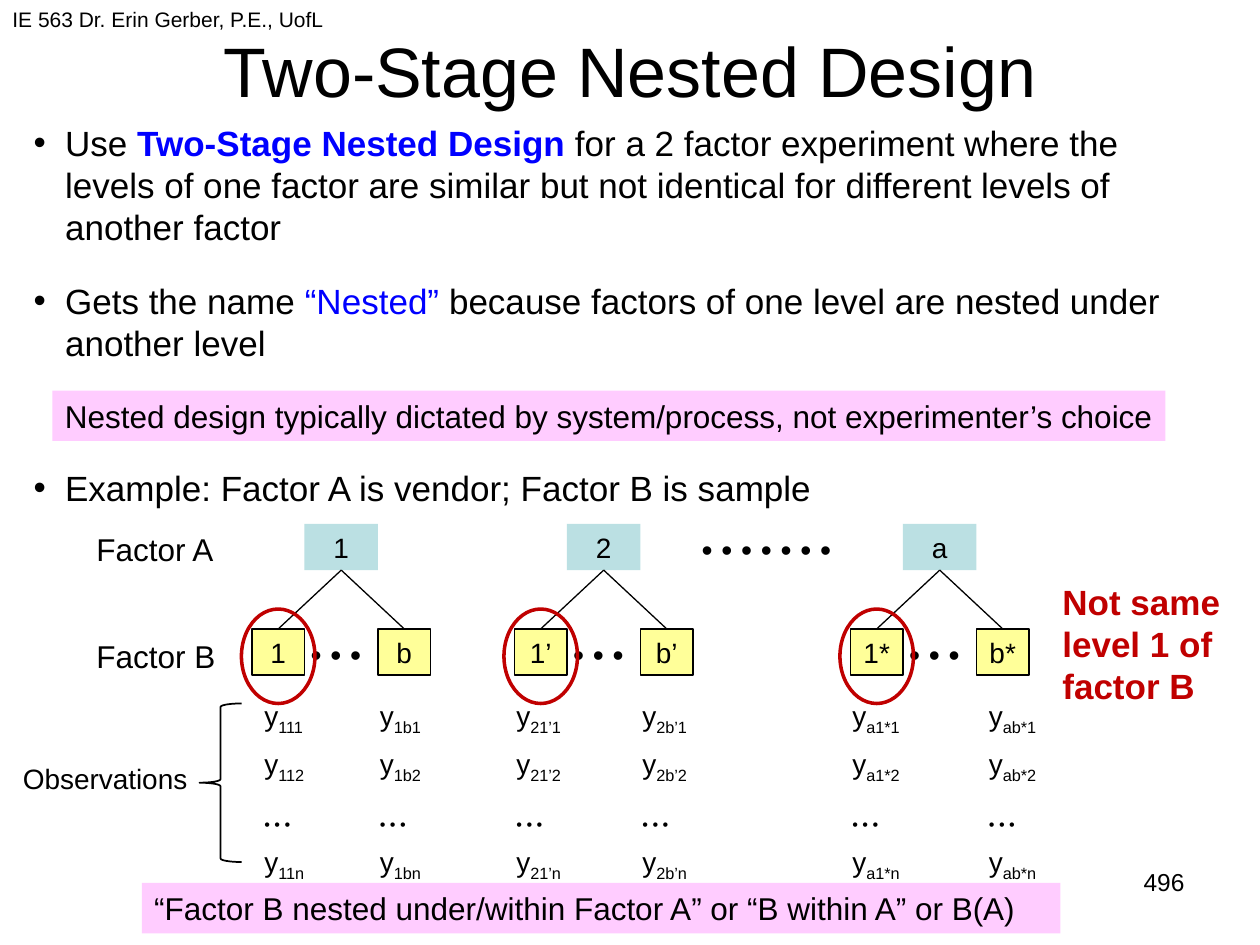
from dataclasses import dataclass
from typing import NamedTuple

from lxml import etree
from pptx import Presentation, util as u
from pptx.dml.color import RGBColor
from pptx.enum import shapes, text
from pptx.oxml import ns


@dataclass(frozen=True)
class Theme:
    font: str = "Arial"
    black: str = "000000"
    blue: str = "0000FF"
    red: str = "C00000"
    teal: str = "BBE0E3"
    yellow: str = "FFFF99"
    pink: str = "FFCCFF"
    title: int = 40
    body: int = 20
    label: int = 18
    node: int = 16
    page: int = 14
    header: int = 12


class Box(NamedTuple):
    """Place and size in grid columns and rows."""
    left: float
    top: float
    width: float
    height: float


class Piece(NamedTuple):
    """A stretch of text in one format."""
    words: str
    color: str = Theme.black
    bold: bool = False
    subscript: bool = False


class Tree(NamedTuple):
    """One level of factor A with its nested levels of factor B."""
    left: float
    parent: str
    children: tuple[str, str]
    readings: tuple[str, str]
    reading_columns: tuple[float, float]
    reading_width: float


THEME = Theme()
COLUMNS, ROWS = 120, 90
CELL = u.Inches(10) / COLUMNS

# Rows and sizes shared by the three trees
PARENT_TOP, CHILD_TOP, READING_TOP = 49.9, 59.9, 65.9
NODE_HEIGHT, PARENT_WIDTH, CHILD_WIDTH, CHILD_STEP = 4.4, 7, 5, 12
TREES = (
    Tree(24, "1", ("1", "b"), ("11", "1b"), (24, 35), 7),
    Tree(49, "2", ("1’", "b’"), ("21’", "2b’"), (48, 60), 8),
    Tree(81, "a", ("1*", "b*"), ("a1*", "ab*"), (80, 93), 8),
)
BODY = (
    (0, [Piece("Use "), Piece("Two-Stage Nested Design ", THEME.blue, True),
         Piece("for a 2 factor experiment where the levels of one factor are similar "
               "but not identical for different levels of another factor")]),
    (18, [Piece("Gets the name "), Piece("“Nested” ", THEME.blue),
          Piece("because factors of one level are nested under another level")]),
    (59, [Piece("Example: Factor A is vendor; Factor B is sample")]),
)


def grid(*cells: float) -> list[int]:
    return [round(cell * CELL) for cell in cells]


def place(shape, box: Box) -> None:
    for name, value in zip(Box._fields, grid(*box)):
        setattr(shape, name, value)


def write(paragraph, pieces: list[Piece], size: int, **formats) -> None:
    for name, value in formats.items():
        setattr(paragraph, name, value)
    for piece in pieces:
        run = paragraph.add_run()
        run.text = piece.words
        for name, value in {"name": THEME.font, "size": u.Pt(size), "bold": piece.bold}.items():
            setattr(run.font, name, value)
        run.font.color.rgb = RGBColor.from_string(piece.color)
        if piece.subscript:
            run._r.get_or_add_rPr().set("baseline", "-25000")


def set_frame(shape, wrap: bool = True, anchor=text.MSO_ANCHOR.TOP):
    frame = shape.text_frame
    for name, value in {"auto_size": text.MSO_AUTO_SIZE.NONE, "word_wrap": wrap,
                        "vertical_anchor": anchor}.items():
        setattr(frame, name, value)
    return frame


def add_text(slide, box: Box, words: str, size: int, align=text.PP_ALIGN.LEFT,
             color: str = THEME.black, bold: bool = False) -> None:
    frame = set_frame(slide.shapes.add_textbox(*grid(*box)))
    write(frame.paragraphs[0], [Piece(words, color, bold)], size, alignment=align)


def add_figure(slide, kind, box: Box, fill: str | None = None,
               line: str | None = None, weight: float = 0.75):
    shape = slide.shapes.add_shape(kind, *grid(*box))
    shape.shadow.inherit = False
    if fill:
        shape.fill.solid()
        shape.fill.fore_color.rgb = RGBColor.from_string(fill)
    else:
        shape.fill.background()
    if line:
        shape.line.color.rgb = RGBColor.from_string(line)
        shape.line.width = u.Pt(weight)
    else:
        shape.line.fill.background()
    return shape


def add_node(slide, box: Box, words: str, fill: str, line: str | None = None) -> None:
    shape = add_figure(slide, shapes.MSO_SHAPE.RECTANGLE, box, fill, line)
    frame = set_frame(shape, wrap=False)
    write(frame.paragraphs[0], [Piece(words)], THEME.node, alignment=text.PP_ALIGN.CENTER)


def add_banner(slide, box: Box, words: str) -> None:
    shape = add_figure(slide, shapes.MSO_SHAPE.RECTANGLE, box, THEME.pink)
    write(set_frame(shape).paragraphs[0], [Piece(words)], THEME.label,
          alignment=text.PP_ALIGN.LEFT)


def add_branch(slide, start: tuple[float, float], end: tuple[float, float]) -> None:
    branch = slide.shapes.add_connector(shapes.MSO_CONNECTOR.STRAIGHT, *grid(*start, *end))
    branch.line.color.rgb = RGBColor.from_string(THEME.black)
    branch.line.width = u.Pt(0.75)
    etree.SubElement(branch._element.spPr, ns.qn("a:effectLst"))


def add_readings(slide, box: Box, prefix: str) -> None:
    frame = set_frame(slide.shapes.add_textbox(*grid(*box)))
    for index, last in enumerate(("1", "2", None, "n")):
        paragraph = frame.add_paragraph() if index else frame.paragraphs[0]
        pieces = ([Piece("y"), Piece(prefix + last, subscript=True)] if last
                  else [Piece("• • •", subscript=True)])
        write(paragraph, pieces, THEME.node, space_before=u.Pt(6 if index else 0))


def add_tree(slide, tree: Tree) -> None:
    middle = tree.left + (CHILD_STEP + CHILD_WIDTH) / 2
    add_node(slide, Box(middle - PARENT_WIDTH / 2, PARENT_TOP, PARENT_WIDTH, NODE_HEIGHT),
             tree.parent, THEME.teal)
    for index, child in enumerate(tree.children):
        left = tree.left + index * CHILD_STEP
        add_node(slide, Box(left, CHILD_TOP, CHILD_WIDTH, NODE_HEIGHT),
                 child, THEME.yellow, THEME.black)
        add_branch(slide, (left + CHILD_WIDTH / 2, CHILD_TOP),
                   (middle, PARENT_TOP + NODE_HEIGHT))
        add_readings(slide, Box(tree.reading_columns[index], READING_TOP,
                                tree.reading_width, 16.1), tree.readings[index])
    add_text(slide, Box(tree.left + 2, CHILD_TOP, 12, 5), "• • •", THEME.label,
             text.PP_ALIGN.CENTER)
    add_figure(slide, shapes.MSO_SHAPE.OVAL, Box(tree.left - 1, 58, 7, 9),
               line=THEME.red, weight=2)


def main() -> None:
    presentation = Presentation()
    presentation.slide_width, presentation.slide_height = grid(COLUMNS, ROWS)
    slide = presentation.slides.add_slide(presentation.slide_layouts[1])

    # Title and list
    title, body = slide.placeholders
    place(title, Box(9, -3, 102, 19.3))
    frame = set_frame(title, anchor=text.MSO_ANCHOR.MIDDLE)
    write(frame.paragraphs[0], [Piece("Two-Stage Nested Design")], THEME.title,
          alignment=text.PP_ALIGN.CENTER)
    place(body, Box(2, 11, 114, 54.7))
    frame = set_frame(body)
    for index, (space, pieces) in enumerate(BODY):
        paragraph = frame.add_paragraph() if index else frame.paragraphs[0]
        properties = paragraph._p.get_or_add_pPr()
        properties.set("marL", str(u.Inches(0.25)))
        properties.set("indent", str(-u.Inches(0.25)))
        etree.SubElement(properties, ns.qn("a:buChar"), char="•")
        write(paragraph, pieces, THEME.body, space_before=u.Pt(space))

    # Nested tree diagram
    for tree in TREES:
        add_tree(slide, tree)
    add_text(slide, Box(64.5, PARENT_TOP, 17, 5), "• • • • • • •", THEME.label,
             text.PP_ALIGN.CENTER)
    add_figure(slide, shapes.MSO_SHAPE.LEFT_BRACE, Box(19, 67, 4, 15.1),
               line=THEME.black, weight=1)

    # Labels and banners
    add_text(slide, Box(8, 49.9, 14, 4.8), "Factor A", THEME.label)
    add_text(slide, Box(8, 60.1, 14, 4.8), "Factor B", THEME.label)
    add_text(slide, Box(1, 71.9, 19, 4.4), "Observations", THEME.node)
    add_text(slide, Box(100, 54.7, 18, 13.3), "Not same level 1 of factor B", THEME.body,
             color=THEME.red, bold=True)
    add_banner(slide, Box(5, 37.2, 106, 4.8),
               "Nested design typically dictated by system/process, not experimenter’s choice")
    add_banner(slide, Box(13.5, 84.1, 87.5, 4.8),
               "“Factor B nested under/within Factor A” or “B within A” or B(A)")

    # Header and page number
    add_text(slide, Box(0, 0, 50, 6.2), "IE 563 Dr. Erin Gerber, P.E., UofL", THEME.header)
    add_text(slide, Box(86, 82, 28, 6.2), "496", THEME.page, text.PP_ALIGN.RIGHT)
    presentation.save("out.pptx")


if __name__ == "__main__":
    main()
